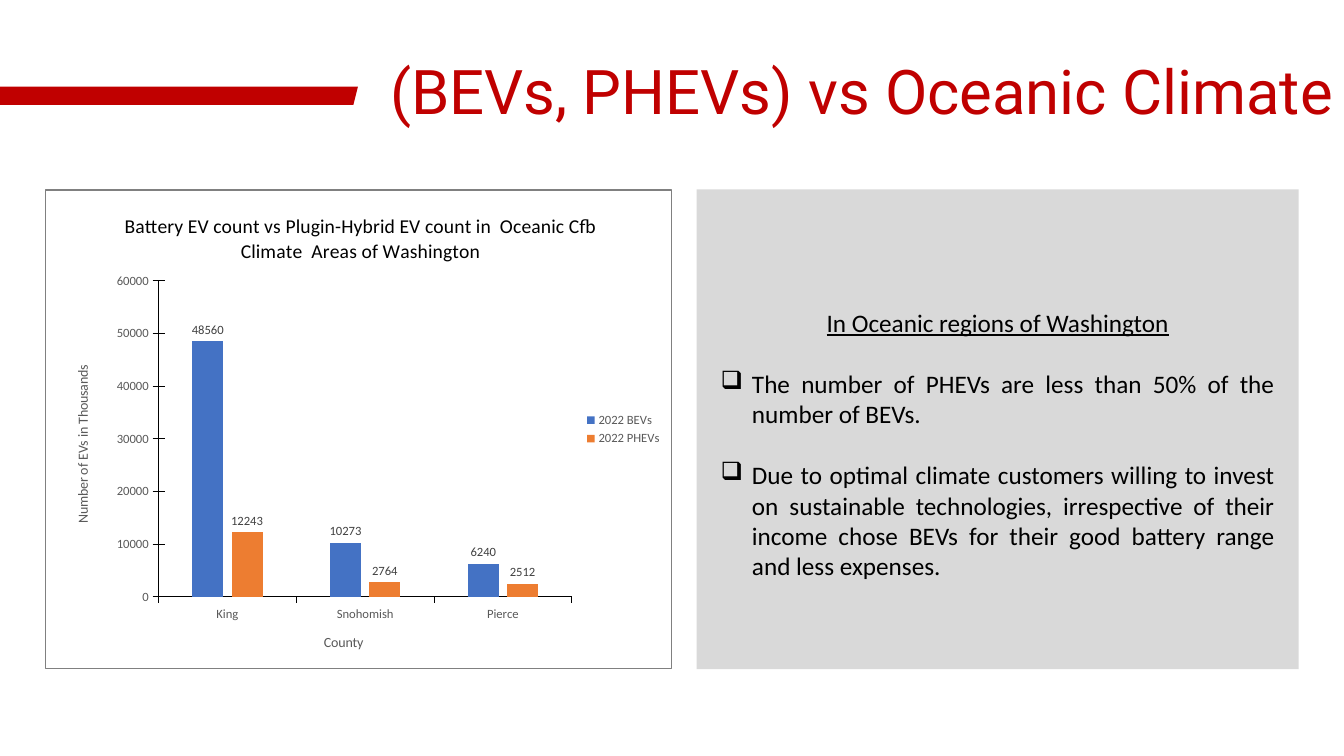
from lxml import etree
from pptx import Presentation
from pptx.chart.data import CategoryChartData
from pptx.dml.color import RGBColor
from pptx.enum.chart import XL_CHART_TYPE as ChartType
from pptx.enum.chart import XL_LABEL_POSITION as LabelPosition
from pptx.enum.chart import XL_LEGEND_POSITION as LegendPosition
from pptx.enum.chart import XL_TICK_MARK as TickMark
from pptx.enum.shapes import MSO_SHAPE as Preset
from pptx.enum.text import MSO_ANCHOR as Anchor
from pptx.enum.text import PP_ALIGN as Align
from pptx.oxml import parse_xml
from pptx.oxml.ns import nsdecls, qn
from pptx.util import Inches, Pt

RED = RGBColor(0xC0, 0x00, 0x00)
PANEL_GRAY = RGBColor(0xD9, 0xD9, 0xD9)
BLACK = RGBColor(0x00, 0x00, 0x00)
AXIS_GRAY = RGBColor(0x59, 0x59, 0x59)
LABEL_GRAY = RGBColor(0x40, 0x40, 0x40)
BORDER_GRAY = RGBColor(0x80, 0x80, 0x80)
WHITE = RGBColor(0xFF, 0xFF, 0xFF)
BLUE = RGBColor(0x44, 0x72, 0xC4)
ORANGE = RGBColor(0xED, 0x7D, 0x31)

COUNTIES = ["King", "Snohomish", "Pierce"]
EV_COUNTS = [
    ("2022 BEVs", BLUE, [48560, 10273, 6240]),
    ("2022 PHEVs", ORANGE, [12243, 2764, 2512]),
]
FINDINGS = [
    "The number of PHEVs are less than 50% of the number of BEVs.",
    "Due to optimal climate customers willing to invest on sustainable technologies, "
    "irrespective of their income chose BEVs for their good battery range and less expenses.",
]


class SlideBuilder:
    body_font = "Calibri"
    title_font = "Roboto"

    def __init__(self, slide):
        self.slide = slide

    def style(self, font, size, color, name=None):
        font.name = name or self.body_font
        font.size = Pt(size)
        font.bold = False
        font.color.rgb = color

    def block(self, preset, box, color):
        shape = self.slide.shapes.add_shape(preset, *map(Inches, box))
        shape.shadow.inherit = False
        shape.fill.solid()
        shape.fill.fore_color.rgb = color
        shape.line.fill.background()

    def text_frame(self, box, anchor=Anchor.TOP):
        frame = self.slide.shapes.add_textbox(*map(Inches, box)).text_frame
        frame.word_wrap = True
        frame.vertical_anchor = anchor
        return frame

    def run(self, paragraph, text, size, color, name=None):
        run = paragraph.add_run()
        run.text = text
        self.style(run.font, size, color, name)
        return run

    def heading(self, box, text):
        paragraph = self.text_frame(box, Anchor.MIDDLE).paragraphs[0]
        paragraph.line_spacing = 0.9
        self.run(paragraph, text, 44, RED, self.title_font)

    def findings(self, box, lead, items):
        frame = self.text_frame(box)
        opening = frame.paragraphs[0]
        opening.alignment = Align.CENTER
        self.run(opening, lead, 18, BLACK).font.underline = True
        for item in items:
            paragraph = frame.add_paragraph()
            paragraph.alignment = Align.JUSTIFY
            paragraph.space_before = Pt(22)
            self.run(paragraph, item, 18, BLACK)
            properties = paragraph._p.get_or_add_pPr()
            properties.set("marL", str(Inches(0.31)))
            properties.set("indent", str(-Inches(0.31)))
            etree.SubElement(properties, qn("a:buChar")).set("char", "❑")

    def place(self, layout, inner=False, **fractions):
        for old in layout.findall(qn("c:manualLayout")):
            layout.remove(old)
        manual = etree.SubElement(layout, qn("c:manualLayout"))
        if inner:
            etree.SubElement(manual, qn("c:layoutTarget")).set("val", "inner")
        for key in "xy":
            etree.SubElement(manual, qn(f"c:{key}Mode")).set("val", "edge")
        for key, value in fractions.items():
            etree.SubElement(manual, qn(f"c:{key}")).set("val", str(value))

    def chart_title(self, owner, title, text, size, color, x, y):
        self.run(title.text_frame.paragraphs[0], text, size, color)
        element = title._element
        layout = element.find(qn("c:layout"))
        if layout is None:
            layout = etree.Element(qn("c:layout"))
            element.find(qn("c:tx")).addnext(layout)
        self.place(layout, x=x, y=y)

    def axis(self, axis, title, tick, x, y):
        axis.has_major_gridlines = False
        axis.major_tick_mark = tick
        axis.minor_tick_mark = TickMark.NONE
        axis.format.line.color.rgb = BLACK
        axis.format.line.width = Pt(0.75)
        self.style(axis.tick_labels.font, 9, AXIS_GRAY)
        self.chart_title(axis, axis.axis_title, title, 10, AXIS_GRAY, x, y)

    def chart_frame(self, chart):
        chart._chartSpace.find(qn("c:chart")).addnext(parse_xml(
            f'<c:spPr {nsdecls("c", "a")}>'
            f'<a:solidFill><a:srgbClr val="{WHITE}"/></a:solidFill>'
            f'<a:ln w="{Pt(0.75)}"><a:solidFill><a:srgbClr val="{BORDER_GRAY}"/>'
            '</a:solidFill></a:ln></c:spPr>'))

    def column_chart(self, box, title, categories, groups):
        data = CategoryChartData()
        data.categories = categories
        for name, _, values in groups:
            data.add_series(name, values)
        chart = self.slide.shapes.add_chart(
            ChartType.COLUMN_CLUSTERED, *map(Inches, box), data).chart
        self.style(chart.font, 10, BLACK)
        self.chart_frame(chart)
        chart.has_title = True
        self.chart_title(chart, chart.chart_title, title, 14, BLACK, 0.12, 0.04)
        self.axis(chart.category_axis, "County", TickMark.OUTSIDE, 0.44, 0.92)
        self.axis(chart.value_axis, "Number of EVs in Thousands", TickMark.CROSS, 0.04, 0.36)
        chart.value_axis.minimum_scale = 0
        chart.value_axis.maximum_scale = 60000
        chart.value_axis.major_unit = 10000
        chart.has_legend = True
        chart.legend.position = LegendPosition.RIGHT
        chart.legend.include_in_layout = False
        self.style(chart.legend.font, 9, AXIS_GRAY)
        plot = chart.plots[0]
        plot.gap_width = 219
        plot.overlap = -27
        plot.vary_by_categories = False
        for series, (_, color, _) in zip(plot.series, groups):
            series.format.fill.solid()
            series.format.fill.fore_color.rgb = color
            labels = series.data_labels
            labels.show_value = True
            labels.position = LabelPosition.OUTSIDE_END
            self.style(labels.font, 9, LABEL_GRAY)
        area = chart._chartSpace.find(qn("c:chart")).find(qn("c:plotArea"))
        layout = area.find(qn("c:layout"))
        if layout is None:
            layout = etree.Element(qn("c:layout"))
            area.insert(0, layout)
        self.place(layout, inner=True, x=0.18, y=0.19, w=0.66, h=0.66)


def main():
    deck = Presentation()
    deck.slide_width = Inches(13.33)
    deck.slide_height = Inches(7.5)
    builder = SlideBuilder(deck.slides.add_slide(deck.slide_layouts[6]))
    builder.block(Preset.RECTANGLE, (6.91, 1.88, 5.97, 4.76), PANEL_GRAY)
    builder.heading((3.77, 0.21, 11.5, 1.45), "(BEVs, PHEVs) vs Oceanic Climate")
    builder.block(Preset.PARALLELOGRAM, (-0.46, 0.86, 4.01, 0.18), RED)
    builder.findings((7.05, 3, 5.69, 3.13), "In Oceanic regions of Washington", FINDINGS)
    builder.column_chart(
        (0.45, 1.88, 6.22, 4.76),
        "Battery EV count vs Plugin-Hybrid EV count in  Oceanic Cfb Climate  Areas of Washington",
        COUNTIES, EV_COUNTS)
    deck.save("out.pptx")


if __name__ == "__main__":
    main()
